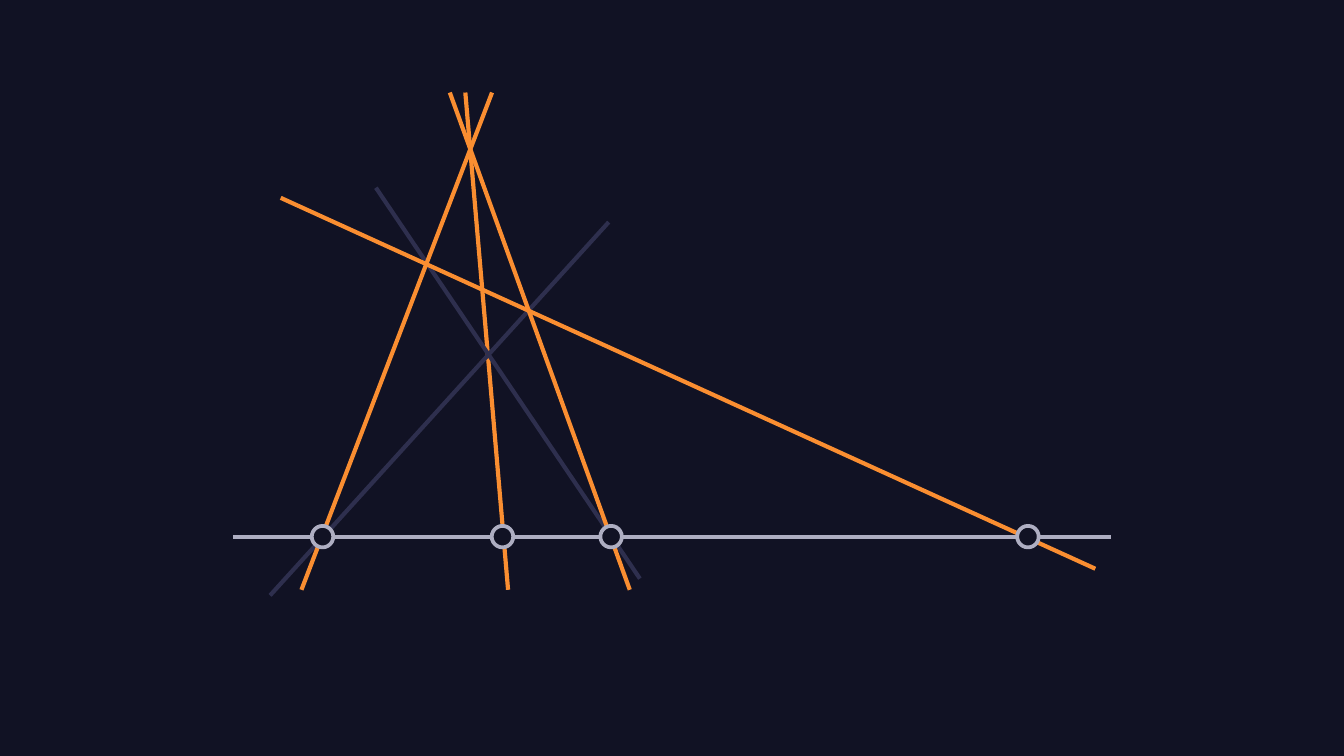
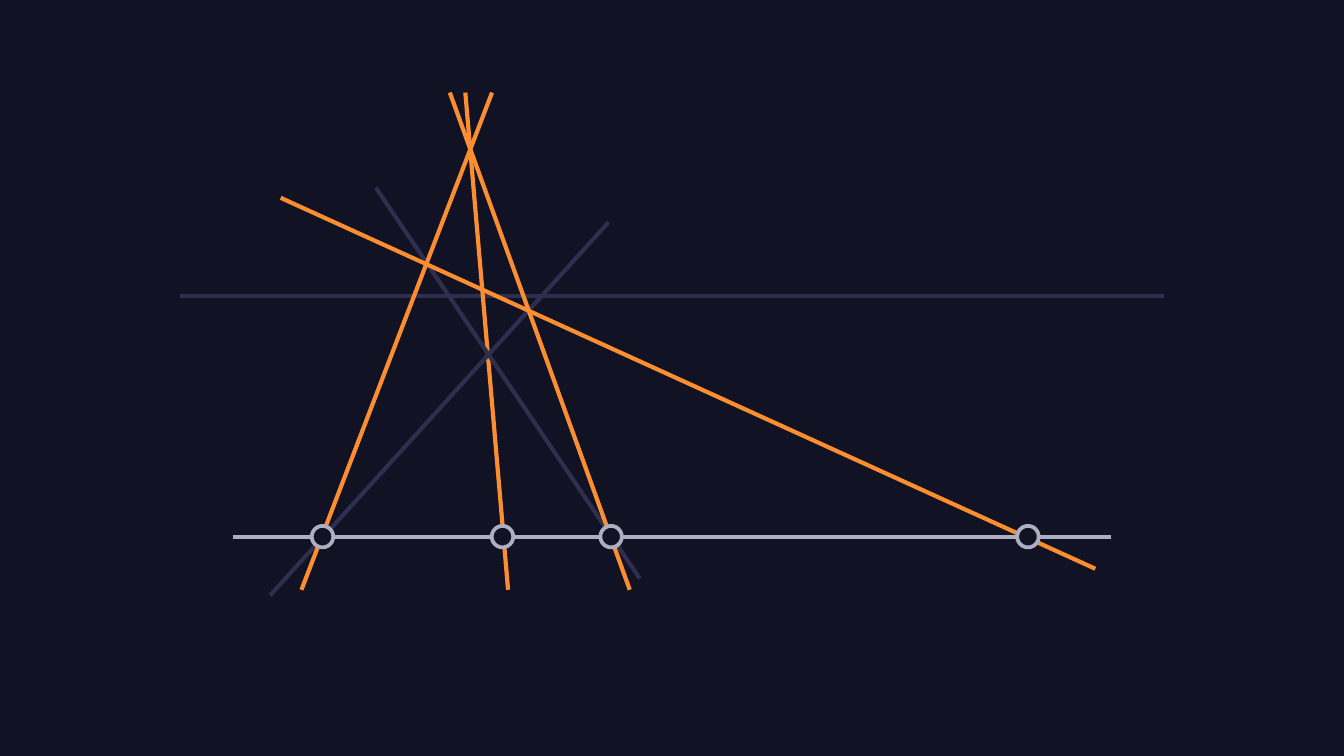
"""Build two slides of a projective construction of four points on a line."""
from dataclasses import dataclass

from lxml.etree import SubElement
from pptx import Presentation
from pptx.dml.color import RGBColor
from pptx.enum.shapes import MSO_CONNECTOR, MSO_SHAPE
from pptx.oxml.ns import qn
from pptx.shapes.shapetree import GroupShapes, SlideShapes
from pptx.slide import Slide
from pptx.util import Pt


@dataclass(frozen=True)
class Theme:
    background: RGBColor = RGBColor(0x11, 0x12, 0x24)
    ray: RGBColor = RGBColor(0xFA, 0x8E, 0x31)
    muted: RGBColor = RGBColor(0x2E, 0x2F, 0x4E)
    axis: RGBColor = RGBColor(0xAE, 0xAE, 0xC2)
    line_width: float = 2.25
    ring_width: float = 2
    ring_diameter: float = 11.5


@dataclass(frozen=True)
class Segment:
    color: RGBColor
    x1: float
    y1: float
    x2: float
    y2: float


THEME = Theme()
SLIDE_WIDTH, SLIDE_HEIGHT = 720, 405
AXIS_Y = 287.5
HORIZON_Y = 158.5
RAY_TOP, RAY_BOTTOM = 49.6, 316

HORIZON = Segment(THEME.muted, 96.5, HORIZON_Y, 623.5, HORIZON_Y)
CONSTRUCTION = (
    Segment(THEME.ray, 249.3, RAY_TOP, 272.2, RAY_BOTTOM),
    Segment(THEME.muted, 326.1, 119, 144.7, 319),
    Segment(THEME.muted, 201.4, 100.6, 342.8, 310),
    Segment(THEME.ray, 150.4, 106, 586.8, 304.7),
    Segment(THEME.axis, 124.7, AXIS_Y, 595.3, AXIS_Y),
    Segment(THEME.ray, 263.6, RAY_TOP, 161.5, RAY_BOTTOM),
    Segment(THEME.ray, 241, RAY_TOP, 337.4, RAY_BOTTOM),
)
POINTS_ON_AXIS = (550.7, 327.4, 269.2, 172.8)


def draw_segment(shapes: SlideShapes | GroupShapes, segment: Segment) -> None:
    connector = shapes.add_connector(
        MSO_CONNECTOR.STRAIGHT,
        Pt(segment.x1), Pt(segment.y1), Pt(segment.x2), Pt(segment.y2),
    )
    connector.line.color.rgb = segment.color
    connector.line.width = Pt(THEME.line_width)
    SubElement(connector._element.spPr, qn("a:effectLst"))


def draw_ring(shapes: SlideShapes | GroupShapes, center_x: float) -> None:
    diameter = THEME.ring_diameter
    shape = shapes.add_shape(
        MSO_SHAPE.OVAL,
        Pt(center_x - diameter / 2), Pt(AXIS_Y - diameter / 2),
        Pt(diameter), Pt(diameter),
    )
    shape.shadow.inherit = False
    shape.fill.solid()
    shape.fill.fore_color.rgb = THEME.background
    shape.line.color.rgb = THEME.axis
    shape.line.width = Pt(THEME.ring_width)


def draw_construction(shapes: SlideShapes | GroupShapes) -> None:
    for segment in CONSTRUCTION:
        draw_segment(shapes, segment)
    for center_x in POINTS_ON_AXIS:
        draw_ring(shapes, center_x)


def add_slide(presentation: Presentation) -> Slide:
    slide = presentation.slides.add_slide(presentation.slide_layouts[6])
    slide.background.fill.solid()
    slide.background.fill.fore_color.rgb = THEME.background
    return slide


def main() -> None:
    presentation = Presentation()
    presentation.slide_width = Pt(SLIDE_WIDTH)
    presentation.slide_height = Pt(SLIDE_HEIGHT)

    plain_slide = add_slide(presentation)
    draw_construction(plain_slide.shapes)

    horizon_slide = add_slide(presentation)
    draw_segment(horizon_slide.shapes, HORIZON)
    draw_construction(horizon_slide.shapes.add_group_shape().shapes)

    presentation.save("out.pptx")


main()
